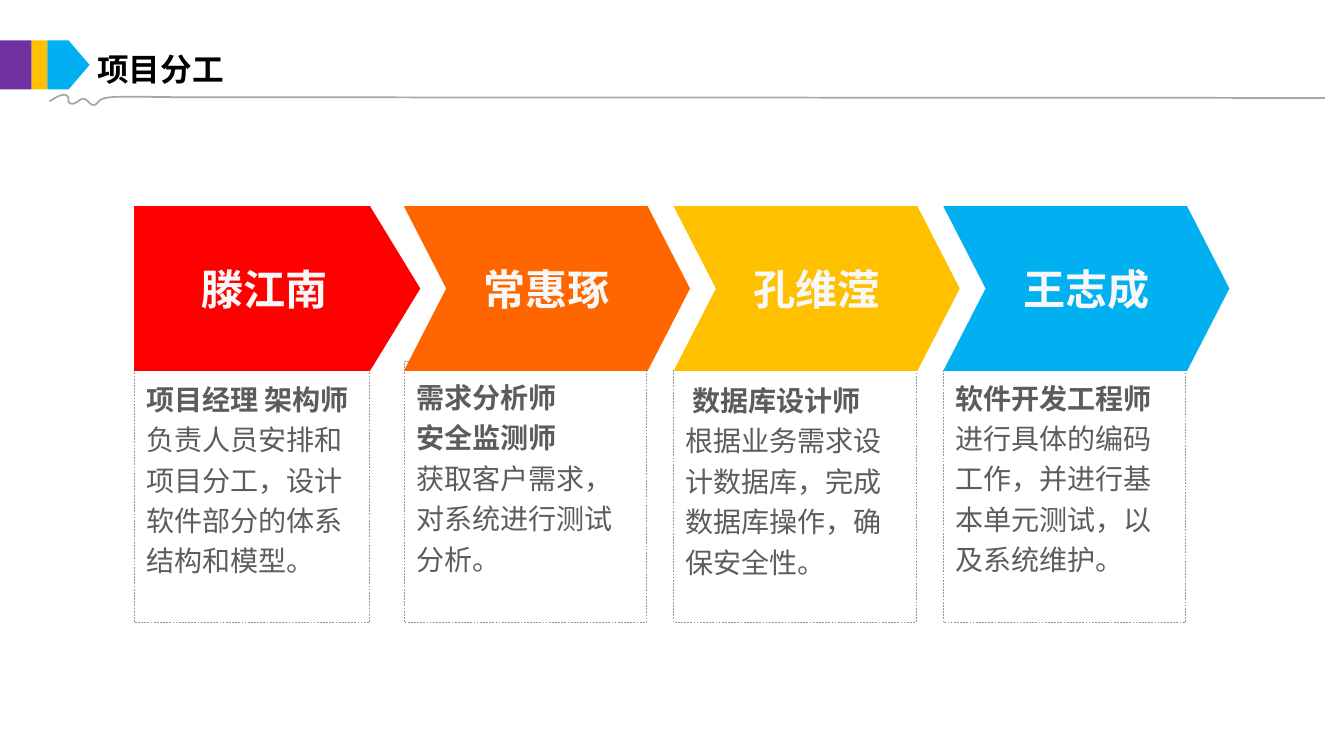
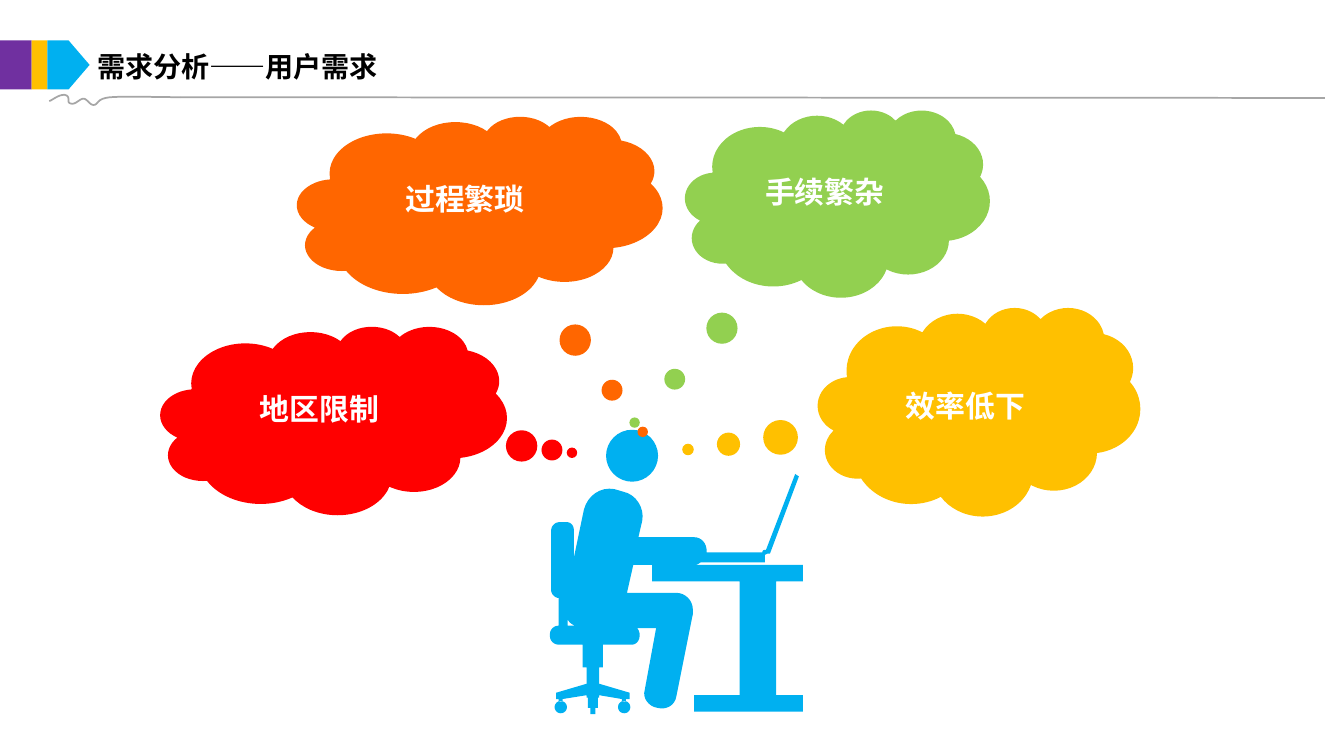
from dataclasses import dataclass

from lxml import etree
from pptx import Presentation
from pptx import util as u
from pptx.dml.color import RGBColor
from pptx.enum import dml, shapes, text
from pptx.oxml.ns import qn

FONT = "Noto Sans CJK SC"
RED, ORANGE, GOLD, GREEN = "FF0000", "FF6600", "FFC000", "92D050"
BLUE, PURPLE, GREY = "00B0F0", "7030A0", "A6A6A6"
INK, WHITE, PALE, BLACK, EDGE = "5C5C5C", "FFFFFF", "F8F8F8", "000000", "969696"
KIND = shapes.MSO_SHAPE
ANCHOR = text.MSO_ANCHOR
ALIGN = text.PP_ALIGN
Step = tuple[float, ...]


@dataclass
class Box:
    left: float
    top: float
    width: float
    height: float


@dataclass
class Card:
    name: str
    fill: str
    roles: list[str]
    duty: str
    top: float
    pad: float
    width: float = 138
    indent: float = 0


@dataclass
class Cloud:
    label: str
    fill: str
    box: Box
    tail: tuple[float, float]


CARDS = [
    Card("滕江南", RED, ["项目经理 架构师"],
         "负责人员安排和项目分工，设计软件部分的体系结构和模型。", 210.4, 3.6, 134),
    Card("常惠琢", ORANGE, ["需求分析师", "安全监测师"],
         "获取客户需求，对系统进行测试分析。", 205.9, 7),
    Card("孔维滢", GOLD, ["数据库设计师"],
         "根据业务需求设计数据库，完成数据库操作，确保安全性。", 211, 3.6, indent=3.5),
    Card("王志成", BLUE, ["软件开发工程师"],
         "进行具体的编码工作，并进行基本单元测试，以及系统维护。", 211, 2.2),
]

CLOUDS = [
    Cloud("手续繁杂", GREEN, Box(390.2, 62.6, 173.5, 106.6), (-0.666, 1.171)),
    Cloud("地区限制", RED, Box(91.4, 185.8, 197.3, 107.3), (0.688, 0.172)),
    Cloud("效率低下", GOLD, Box(465.8, 175, 183.6, 118.8), (-0.903, 0.182)),
    Cloud("过程繁琐", ORANGE, Box(169.2, 66.2, 208.1, 107.3), (0.446, 1.176)),
]

WAVE: list[Step] = [
    (28.1, 57.6), (30.2, 56.9, 33.1, 54, 36.7, 54),
    (41, 54.7, 37.4, 58.3, 40.3, 59), (43.2, 59.8, 45.4, 56.2, 47.5, 56.2),
    (49.7, 56.2, 51.1, 59.8, 53.3, 59.8), (56.2, 59.8, 54.7, 56.2, 62.6, 55.4),
    (71.3, 54.7, 94.3, 55.4, 103, 55.4),
]

BODY: list[Step] = [
    (313.2, 361.4), (313.2, 362.2), (313.2, 365, 315.4, 367.2, 318.2, 367.2),
    (331.9, 367.2), (331.9, 380.2), (334.1, 380.2), (334.1, 389.5),
    (316.8, 394.6), (316.8, 398.2), (318.2, 398.2), (318.2, 399.6),
    (320.4, 399.6), (320.4, 398.2), (334.1, 396), (334.1, 397.4),
    (334.8, 397.4), (334.8, 403.2), (336.2, 403.2), (336.2, 406.8),
    (339.1, 406.8), (339.1, 403.2), (340.6, 403.2), (340.6, 397.4),
    (341.3, 397.4), (341.3, 396), (354.2, 398.2), (354.2, 399.6),
    (356.4, 399.6), (356.4, 398.2), (358.6, 398.2), (358.6, 394.6),
    (341.3, 389.5), (341.3, 380.2), (343.4, 380.2), (343.4, 367.2),
    (360, 367.2), (362.2, 367.2, 364.3, 365, 364.3, 362.2), (364.3, 361.4),
    (364.3, 360, 363.6, 358.6, 362.9, 357.8), (373.7, 357.8), (367.2, 393.1),
    (365.8, 397.4, 369.4, 402.5, 374.4, 403.2),
    (379.4, 404.6, 384.5, 401.8, 385.2, 396.7), (394.6, 349.9), (394.6, 347),
    (394.6, 342, 390.2, 337.7, 385.2, 337.7), (357.1, 337.7), (360.7, 321.8),
    (395.3, 321.8), (396.7, 321.8, 398.2, 321.1, 398.9, 320.4),
    (435.6, 320.4), (435.6, 316.1), (437, 315.4), (438.5, 315.4),
    (455, 271.4), (452.9, 270), (436.3, 313.2),
    (435.6, 313.2, 434.2, 313.2, 434.2, 314.6), (402.5, 314.6),
    (402.5, 313.9), (402.5, 309.6, 399.6, 306, 395.3, 306), (363.6, 306),
    (365.8, 296.6), (367.2, 289.4, 362.2, 281.5, 355, 280.1), (349.9, 278.6),
    (342, 277.2, 334.8, 282.2, 332.6, 290.2), (326.9, 317.5), (326.9, 302.4),
    (326.9, 299.5, 325.4, 297.4, 322.6, 297.4), (319, 297.4),
    (316.1, 297.4, 313.9, 299.5, 313.9, 302.4), (313.9, 336.2),
    (313.9, 338.4, 316.1, 340.6, 318.2, 340.6), (318.2, 356.4),
    (315.4, 356.4, 313.2, 358.6, 313.2, 361.4),
]

GAP: list[Step] = [(323.3, 352.8), (324, 354.2, 325.4, 355.7, 327.6, 356.4), (323.3, 356.4)]

DESK: list[Step] = [
    (421.2, 396), (395.3, 396), (395.3, 405.4), (457.2, 405.4), (457.2, 396),
    (442.1, 396), (442.1, 331.2), (457.2, 331.2), (457.2, 321.8),
    (371.5, 321.8), (371.5, 331.2), (421.2, 331.2),
]


def color(code: str) -> RGBColor:
    return RGBColor.from_string(code)


def paint(shape, fill: str | None, line: str | None = None, width: float = 1) -> None:
    shape.shadow.inherit = False
    if fill:
        shape.fill.solid()
        shape.fill.fore_color.rgb = color(fill)
    else:
        shape.fill.background()
    if line:
        shape.line.color.rgb = color(line)
        shape.line.width = u.Pt(width)
    else:
        shape.line.fill.background()


def place(slide, kind, box: Box, fill: str | None):
    shape = slide.shapes.add_shape(
        kind, u.Pt(box.left), u.Pt(box.top), u.Pt(box.width), u.Pt(box.height))
    paint(shape, fill)
    return shape


def style(para, size: float, ink: str, bold: bool = True) -> None:
    for run in para.runs:
        font = run.font
        font.size, font.bold, font.name = u.Pt(size), bold, FONT
        font.color.rgb = color(ink)
        etree.SubElement(font._element, qn("a:ea")).set("typeface", FONT)


def inset(frame, left: float, top: float, right: float, foot: float) -> None:
    frame.margin_left, frame.margin_top = u.Pt(left), u.Pt(top)
    frame.margin_right, frame.margin_bottom = u.Pt(right), u.Pt(foot)


def label(shape, words: str, size: float, ink: str, anchor) -> None:
    frame = shape.text_frame
    frame.word_wrap = False
    frame.vertical_anchor = anchor
    frame.text = words
    para = frame.paragraphs[0]
    para.alignment = ALIGN.CENTER
    style(para, size, ink)


def trace(steps: list[Step], count: int = 8) -> list[tuple[float, float]]:
    dots = [steps[0]]
    for step in steps[1:]:
        if len(step) == 2:
            dots.append(step)
            continue
        ax, ay = dots[-1]
        bx, by, cx, cy, dx, dy = step
        for i in range(1, count + 1):
            t = i / count
            s = 1 - t
            a, b, c, d = s ** 3, 3 * s * s * t, 3 * s * t * t, t ** 3
            dots.append((a * ax + b * bx + c * cx + d * dx,
                         a * ay + b * by + c * cy + d * dy))
    return [(x * 100, y * 100) for x, y in dots]


def ring(x: float, y: float, r: float) -> list[Step]:
    k = r * 0.55
    return [(x + r, y), (x + r, y + k, x + k, y + r, x, y + r),
            (x - k, y + r, x - r, y + k, x - r, y),
            (x - r, y - k, x - k, y - r, x, y - r),
            (x + k, y - r, x + r, y - k, x + r, y)]


def outline(slide, loops: list[list[Step]], close: bool = True):
    first, *rest = [trace(loop) for loop in loops]
    pen = slide.shapes.build_freeform(*first[0], scale=u.Pt(1) / 100)
    pen.add_line_segments(first[1:], close=close)
    for loop in rest:
        pen.move_to(*loop[0])
        pen.add_line_segments(loop[1:], close=close)
    return pen.convert_to_shape()


def head(slide, title: str, size: float, height: float) -> None:
    area = slide.shapes.add_textbox(u.Pt(50.4), u.Pt(25.2), u.Pt(259.2), u.Pt(height))
    frame = area.text_frame
    frame.word_wrap = True
    inset(frame, 5, 3, 5, 3)
    frame.text = title
    style(frame.paragraphs[0], size, BLACK)
    paint(outline(slide, [WAVE], False), None, GREY)
    rule = slide.shapes.add_connector(
        shapes.MSO_CONNECTOR.STRAIGHT, u.Pt(103), u.Pt(55.4), u.Pt(754.6), u.Pt(55.8))
    rule.line.color.rgb = color(GREY)
    rule.line.width = u.Pt(1)
    etree.SubElement(rule._element.spPr, qn("a:effectLst"))
    place(slide, KIND.RECTANGLE, Box(0, 23, 18, 28), PURPLE)
    place(slide, KIND.RECTANGLE, Box(18, 23, 9, 28), GOLD)
    place(slide, KIND.PENTAGON, Box(27, 23, 24, 28), BLUE)


def panel(slide, card: Card, left: float) -> None:
    box = Box(left, card.top, card.width, 354.6 - card.top)
    shape = place(slide, KIND.ROUNDED_RECTANGLE, box, None)
    shape.adjustments[0] = 0
    paint(shape, None, EDGE, 0.25)
    shape.line.dash_style = dml.MSO_LINE.DASH
    frame = shape.text_frame
    frame.word_wrap = True
    frame.vertical_anchor = ANCHOR.TOP
    inset(frame, 7.2, card.pad, 7.2, 3.6)
    frame.text = "\n".join([*card.roles, card.duty])
    for i, para in enumerate(frame.paragraphs):
        para.alignment = ALIGN.LEFT
        para.line_spacing = 1.2
        style(para, 16, INK, i < len(card.roles))
    if card.indent:
        frame.paragraphs[0]._p.get_or_add_pPr().set("indent", str(u.Pt(card.indent)))


def team(slide) -> None:
    head(slide, "项目分工", 18, 27.4)
    spots = [(card, 76.4 + 153.6 * i) for i, card in enumerate(CARDS)]
    for card, left in spots:
        panel(slide, card, left)
    for i, (card, left) in enumerate(spots):
        kind, bend = (KIND.CHEVRON, 0.257) if i else (KIND.PENTAGON, 0.305)
        arrow = place(slide, kind, Box(left, 117.4, 163, 93.9), card.fill)
        arrow.adjustments[0] = bend
        label(arrow, card.name, 24, PALE, ANCHOR.MIDDLE)


def bubble(slide, cloud: Cloud) -> None:
    shape = place(slide, KIND.CLOUD_CALLOUT, cloud.box, cloud.fill)
    for i, value in enumerate(cloud.tail):
        shape.adjustments[i] = value
    inset(shape.text_frame, 0, 2, 2, 29)
    label(shape, cloud.label, 17, WHITE, ANCHOR.BOTTOM)


def needs(slide) -> None:
    head(slide, "需求分析——用户需求", 16, 24.5)
    worker = [ring(360, 259.6, 14.8), BODY, GAP, DESK,
              ring(319.4, 402.8, 3.5), ring(355.5, 402.8, 3.5)]
    for cloud in CLOUDS[:2]:
        bubble(slide, cloud)
    paint(outline(slide, worker), BLUE)
    for cloud in CLOUDS[2:]:
        bubble(slide, cloud)


def main() -> None:
    deck = Presentation()
    deck.slide_width, deck.slide_height = u.Pt(765.4), u.Pt(425.5)
    for draw in (team, needs):
        draw(deck.slides.add_slide(deck.slide_layouts[6]))
    deck.save("out.pptx")


if __name__ == "__main__":
    main()
